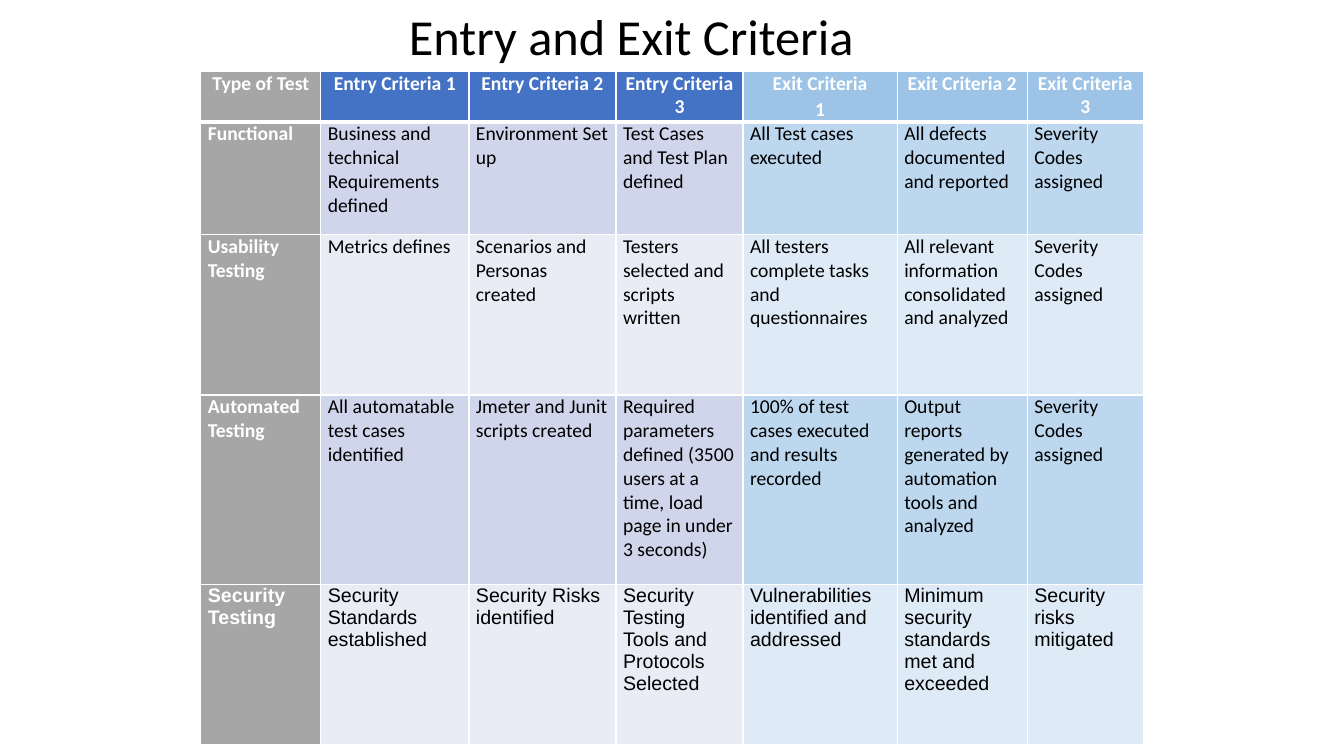
"""Build a slide with a table of entry and exit criteria by type of test."""
from lxml import etree
from pptx import Presentation
from pptx.dml.color import RGBColor
from pptx.enum.text import MSO_AUTO_SIZE, PP_ALIGN
from pptx.oxml.ns import qn
from pptx.util import Pt

CENTER, LEFT = PP_ALIGN.CENTER, PP_ALIGN.LEFT
FIT_SHAPE = MSO_AUTO_SIZE.SHAPE_TO_FIT_TEXT
WHITE = RGBColor(0xFF, 0xFF, 0xFF)
BLACK = RGBColor(0x00, 0x00, 0x00)
GRAY = RGBColor(0xA6, 0xA6, 0xA6)
ENTRY_HEAD = RGBColor(0x44, 0x72, 0xC4)
ENTRY_DARK = RGBColor(0xCF, 0xD5, 0xEA)
ENTRY_LIGHT = RGBColor(0xE9, 0xEB, 0xF5)
EXIT_HEAD = RGBColor(0x9D, 0xC3, 0xE6)
EXIT_DARK = RGBColor(0xBD, 0xD7, 0xEE)
EXIT_LIGHT = RGBColor(0xDE, 0xEB, 0xF7)

HEAD_FILLS = (ENTRY_HEAD, EXIT_HEAD)
BAND_FILLS = ((ENTRY_LIGHT, EXIT_LIGHT), (ENTRY_DARK, EXIT_DARK))
COL_WIDTHS = [85.7, 105.8, 105.1, 90.7, 110.2, 92.9, 82.8]
ROW_HEIGHTS = [34.6, 80.6, 114.5, 135.4, 114.5]
ROWS = [
    ["Type of Test", "Entry Criteria 1", "Entry Criteria 2", "Entry Criteria 3",
     "Exit Criteria\n1", "Exit Criteria 2", "Exit Criteria 3"],
    ["Functional", "Business and technical Requirements defined",
     "Environment Set up", "Test Cases and Test Plan defined",
     "All Test cases executed", "All defects documented and reported",
     "Severity Codes assigned"],
    ["Usability Testing", "Metrics defines", "Scenarios and Personas created",
     "Testers selected and scripts written",
     "All testers complete tasks and questionnaires",
     "All relevant information consolidated and analyzed",
     "Severity Codes assigned"],
    ["Automated Testing", "All automatable test cases identified",
     "Jmeter and Junit scripts created",
     "Required parameters defined (3500 users at a time, load page in under 3 seconds)",
     "100% of test cases executed and results recorded",
     "Output reports generated by automation tools and analyzed",
     "Severity Codes assigned"],
    ["Security Testing", "Security Standards established",
     "Security Risks identified", "Security Testing Tools and Protocols Selected",
     "Vulnerabilities identified and addressed",
     "Minimum security standards met and exceeded", "Security risks mitigated"],
]


def add_border(cell, side, width):
    """Draw one white cell border."""
    tc_pr = cell._tc.get_or_add_tcPr()
    ln = etree.SubElement(tc_pr, qn(f"a:{side}"), w=str(Pt(width)))
    fill = etree.SubElement(ln, qn("a:solidFill"))
    etree.SubElement(fill, qn("a:srgbClr"), val=str(WHITE))


prs = Presentation()
prs.slide_width, prs.slide_height = Pt(960), Pt(540)
s = prs.slides.add_slide(prs.slide_layouts[6])

table = s.shapes.add_table(
    len(ROWS), len(COL_WIDTHS), Pt(143.5), Pt(51),
    Pt(sum(COL_WIDTHS)), Pt(sum(ROW_HEIGHTS))).table
for column, width in zip(table.columns, COL_WIDTHS):
    column.width = Pt(width)
for row, height in zip(table.rows, ROW_HEIGHTS):
    row.height = Pt(height)

for i, texts in enumerate(ROWS):
    is_head = i == 0
    fills = HEAD_FILLS if is_head else BAND_FILLS[i % 2]
    font_name = "Arial" if i == len(ROWS) - 1 else "Calibri"
    for j, text in enumerate(texts):
        is_label = is_head or j == 0
        cell = table.cell(i, j)
        cell.margin_left = cell.margin_right = Pt(5)
        cell.margin_top = cell.margin_bottom = Pt(0)
        for side in ("lnL", "lnR", "lnT", "lnB"):
            add_border(cell, side, 3 if is_head and side == "lnB" else 1)
        cell.fill.solid()
        cell.fill.fore_color.rgb = GRAY if j == 0 else fills[j > 3]
        cell.text = text
        for k, p in enumerate(cell.text_frame.paragraphs):
            p.alignment = CENTER if is_head else LEFT
            if k > 0:
                p.space_before = Pt(1)
            p.space_after = Pt(1)
            p.font.name = font_name
            p.font.size = Pt(14)
            p.font.bold = is_label
            p.font.color.rgb = WHITE if is_label else BLACK

title = s.shapes.add_textbox(Pt(285), Pt(0), Pt(390), Pt(51))
tf = title.text_frame
tf.word_wrap = True
tf.auto_size = FIT_SHAPE
p = tf.paragraphs[0]
p.text = "Entry and Exit Criteria"
p.font.name = "Calibri"
p.font.size = Pt(36)
p.font.color.rgb = BLACK

prs.save("out.pptx")
